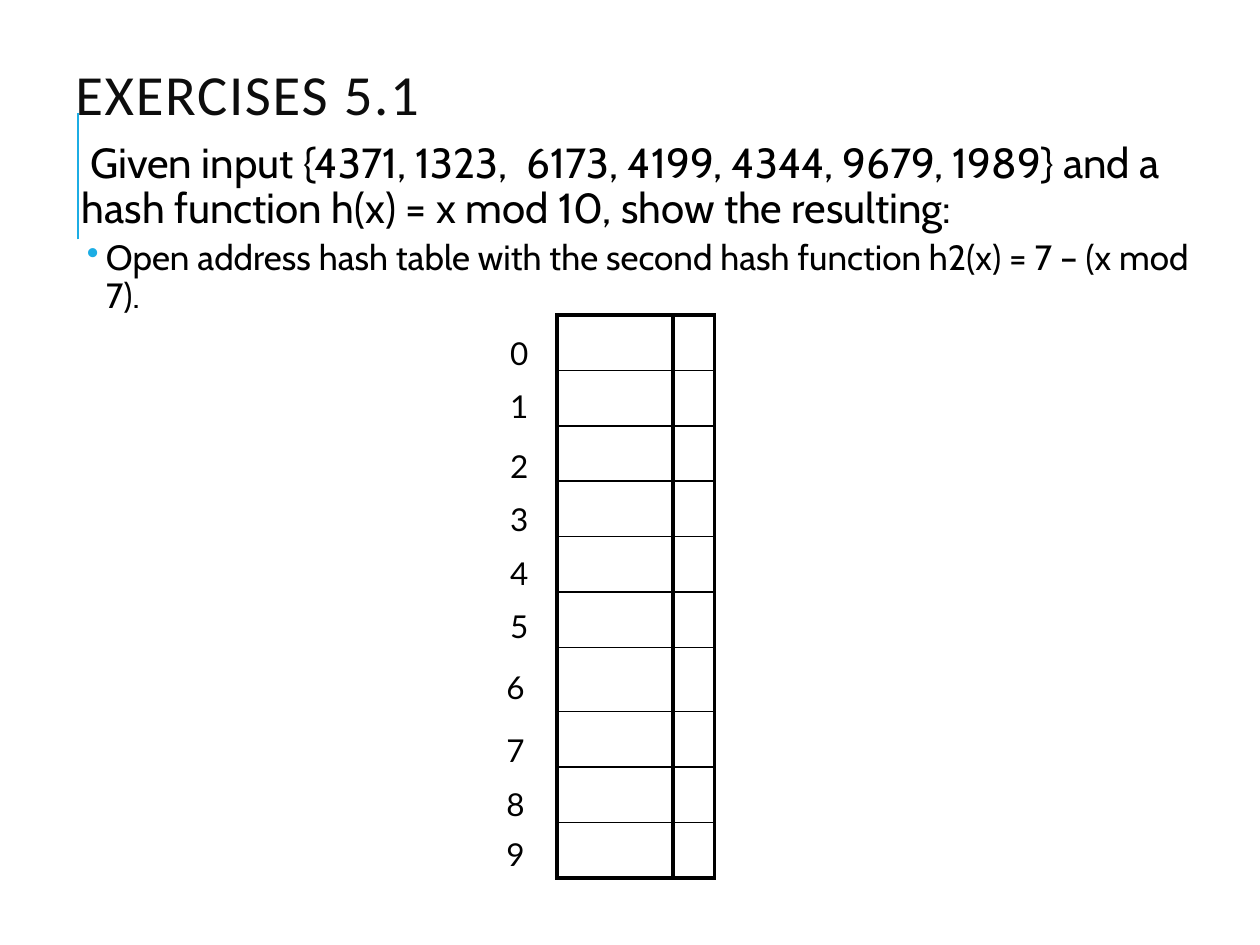
from lxml.etree import SubElement
from pptx import Presentation
from pptx.dml.color import RGBColor
from pptx.enum.shapes import MSO_CONNECTOR
from pptx.enum.text import MSO_ANCHOR
from pptx.oxml.ns import qn
from pptx.util import Inches, Pt


def rgb(hex_colour):
    return RGBColor.from_string(hex_colour)


def add_text(frame, paragraph, text, font, size, colour):
    """Fill the paragraph with one formatted run and return that run."""
    frame.word_wrap = True
    run = paragraph.add_run()
    run.text = text
    for name, value in {"name": font, "size": Pt(size)}.items():
        setattr(run.font, name, value)
    run.font.color.rgb = rgb(colour)
    return run


BLACK = "000000"
ACCENT = "1CADE4"

prs = Presentation()
prs.slide_width, prs.slide_height = Inches(10), Inches(7.5)
slide = prs.slides.add_slide(prs.slide_layouts[6])

# Accent rule beside the question
rule = slide.shapes.add_connector(
    MSO_CONNECTOR.STRAIGHT, Inches(0.62), Inches(1.9), Inches(0.62), Inches(0.9))
rule.line.color.rgb = rgb(ACCENT)
rule.line.width = Pt(1.5)
SubElement(rule._element.spPr, qn("a:effectLst"))

# Title
title = slide.shapes.add_textbox(
    Inches(0.5), Inches(0.5), Inches(9), Inches(0.58)).text_frame
title.vertical_anchor = MSO_ANCHOR.MIDDLE
title.paragraphs[0].line_spacing = 0.8
heading = add_text(title, title.paragraphs[0], "EXERCISES 5.1", "Calibri", 32.4, "0D0D0D")
heading._r.get_or_add_rPr().set("spc", "100")

# Question and its bulleted task
body = slide.shapes.add_textbox(
    Inches(0.5), Inches(1.08), Inches(9), Inches(5)).text_frame
for side in ("left", "top", "right", "bottom"):
    setattr(body, f"margin_{side}", Inches(0.05))

question = body.paragraphs[0]
task = body.add_paragraph()
task.level = 1
add_text(body, question,
         "Given input {4371, 1323,  6173, 4199, 4344, 9679, 1989} and a "
         "hash function h(x) = x mod 10, show the resulting:", "Cabin", 24, BLACK)
add_text(body, task,
         "Open address hash table with the second hash function "
         "h2(x) = 7 – (x mod 7).", "Cabin", 20, BLACK)

for paragraph, before, after, margin, indent, bullet in (
        (question, 12, 2, 0.1, -0.1, " "),
        (task, 2, 4, 0.29, -0.15, "•")):
    spacing = {"line_spacing": 0.9, "space_before": Pt(before), "space_after": Pt(after)}
    for name, value in spacing.items():
        setattr(paragraph, name, value)
    props = paragraph._p.get_or_add_pPr()
    props.set("marL", str(Inches(margin)))
    props.set("indent", str(Inches(indent)))
    SubElement(SubElement(props, qn("a:buClr")), qn("a:srgbClr"), val=ACCENT)
    SubElement(props, qn("a:buChar"), char=bullet)

# Empty hash table
row_heights = [0.44] * 6 + [0.51] + [0.44] * 3
column_widths = [0.92, 0.33]
last_row = len(row_heights) - 1
hash_table = slide.shapes.add_table(
    len(row_heights), len(column_widths), Inches(4.42), Inches(2.5),
    Inches(sum(column_widths)), Inches(sum(row_heights))).table
hash_table.first_row = hash_table.horz_banding = False
for column, width in zip(hash_table.columns, column_widths):
    column.width = Inches(width)

for index, (row, height) in enumerate(zip(hash_table.rows, row_heights)):
    row.height = Inches(height)
    borders = {
        "a:lnL": 2.25,
        "a:lnR": 2.25,
        "a:lnT": 2.25 if index == 0 else 1,
        "a:lnB": 2.25 if index == last_row else 1,
    }
    for cell in row.cells:
        cell_props = cell._tc.get_or_add_tcPr()
        for edge, width in borders.items():
            line = SubElement(cell_props, qn(edge), w=str(Pt(width)))
            SubElement(SubElement(line, qn("a:solidFill")), qn("a:srgbClr"), val=BLACK)
        cell.fill.background()

# Slot numbers
slot_tops = [2.6, 3.02, 3.5, 3.92, 4.35, 4.77, 5.25, 5.75, 6.18, 6.58]
for slot, top in enumerate(slot_tops):
    left = 3.95 if slot < 6 else 3.92
    label = slide.shapes.add_textbox(
        Inches(left), Inches(top), Inches(0.34), Inches(0.4)).text_frame
    add_text(label, label.paragraphs[0], str(slot), "Lato", 18, BLACK)
    label.word_wrap = False

prs.save("out.pptx")
